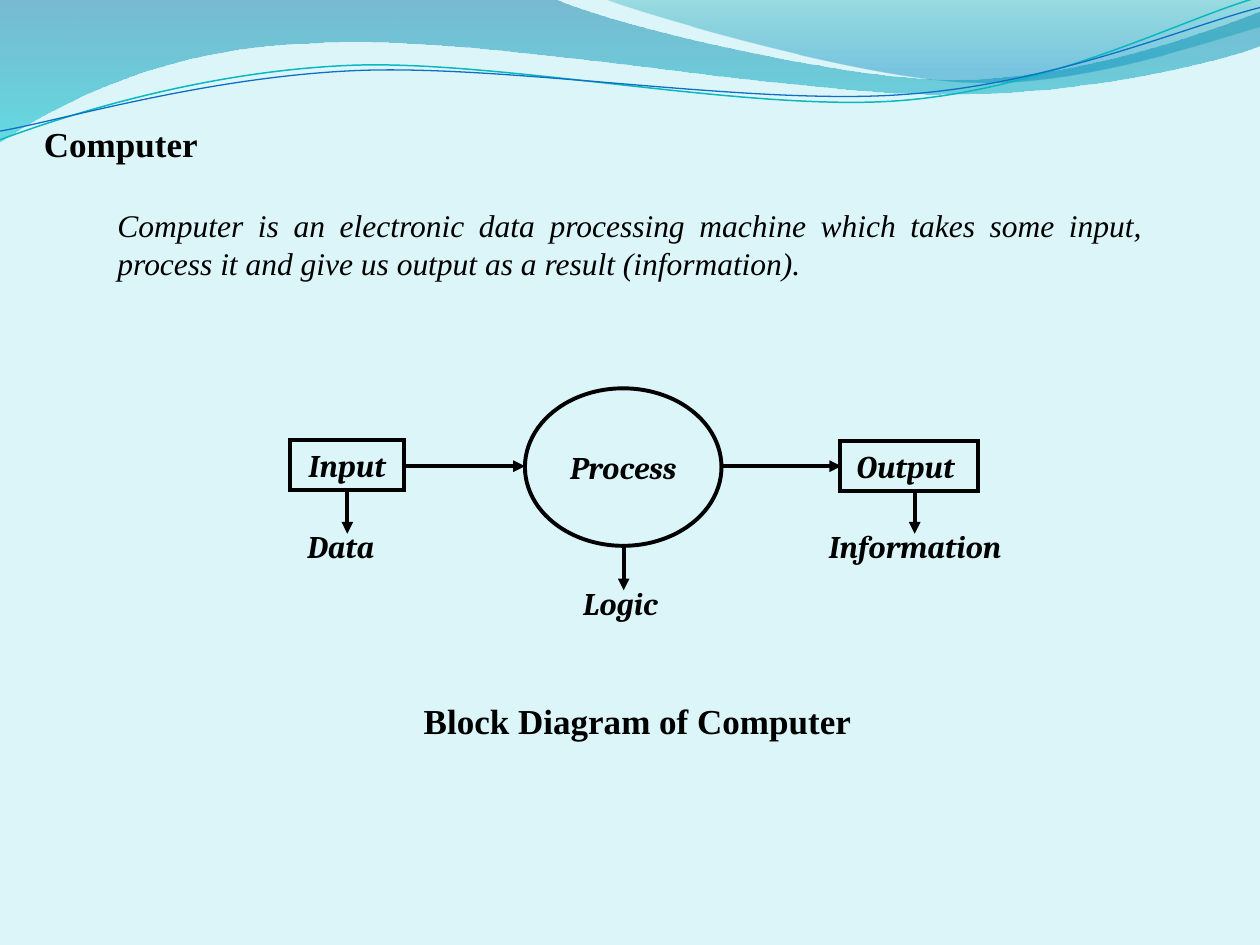
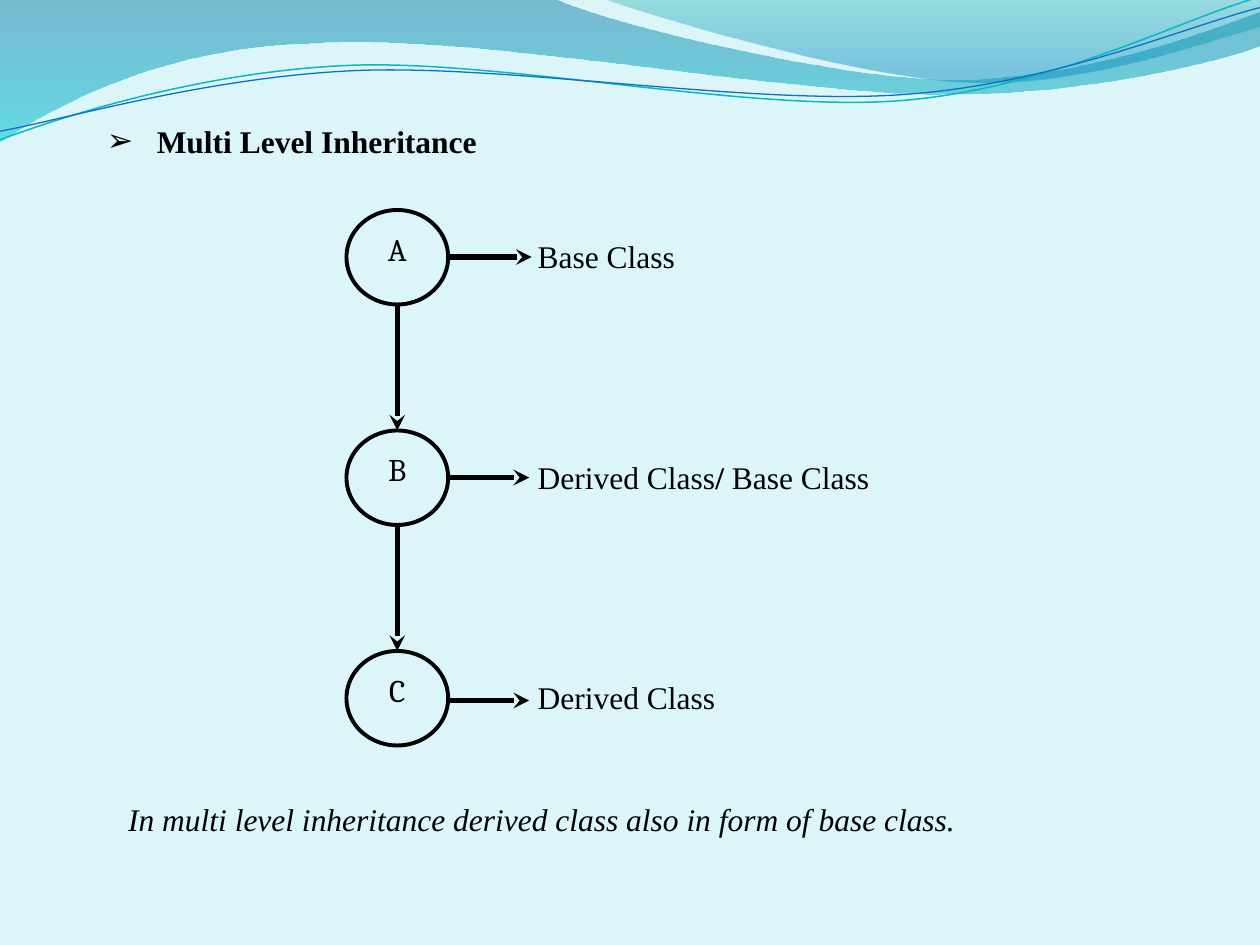
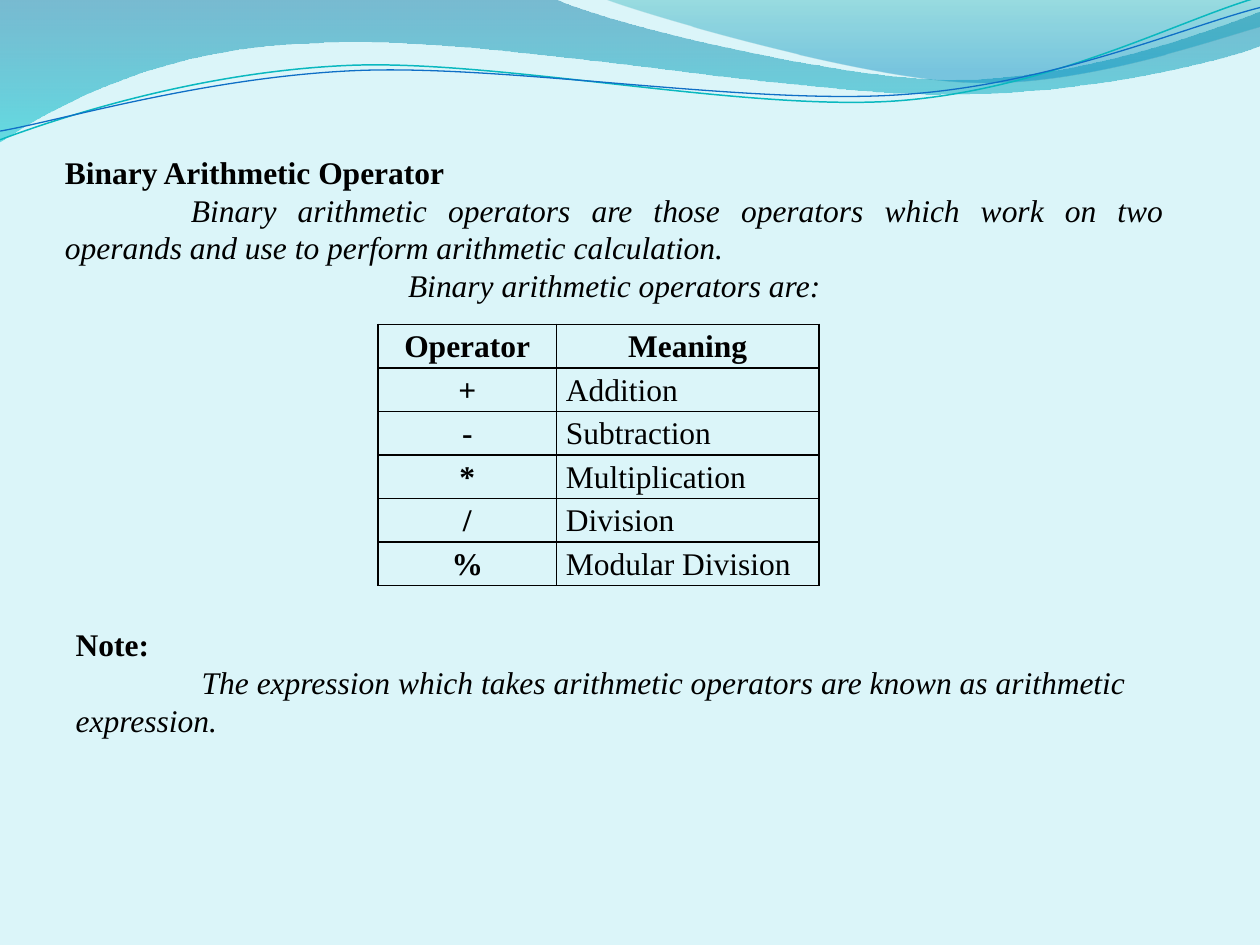
from lxml.etree import SubElement
from pptx import Presentation
from pptx.dml.color import RGBColor
from pptx.enum.shapes import MSO_CONNECTOR, MSO_SHAPE
from pptx.enum.text import MSO_ANCHOR, PP_ALIGN
from pptx.oxml import parse_xml
from pptx.oxml.ns import nsdecls, qn
from pptx.util import Pt

BLACK = RGBColor(0x00, 0x00, 0x00)
PALE_AQUA = RGBColor(0xDB, 0xF5, 0xF9)
DEEP_BLUE = RGBColor(0x00, 0x74, 0xA1)
TURQUOISE = RGBColor(0x00, 0xC6, 0xCF)
TEAL = RGBColor(0x00, 0xA1, 0xA9)
SKY_BLUE = RGBColor(0x00, 0x8B, 0xBF)
CYAN = RGBColor(0x0A, 0xB8, 0xBF)
ROYAL_BLUE = RGBColor(0x0F, 0x6F, 0xC6)

BODY = {"name": "Times New Roman", "size": Pt(18)}
HEADING = {"size": Pt(20), "bold": True}
DIAGRAM = {"name": "Cambria", "bold": True, "italic": True}
CENTER, JUSTIFY = PP_ALIGN.CENTER, PP_ALIGN.JUSTIFY


def write(paragraph, text, align=None, **look):
    """Add a run to the paragraph in the body style, changed by look."""
    paragraph.alignment = align
    run = paragraph.add_run()
    run.text = text
    run.font.color.rgb = BLACK
    for attribute, value in {**BODY, **look}.items():
        setattr(run.font, attribute, value)


def add_arrow(slide, x1, y1, x2, y2, weight, head):
    arrow = slide.shapes.add_connector(
        MSO_CONNECTOR.STRAIGHT, Pt(x1), Pt(y1), Pt(x2), Pt(y2))
    arrow.line.color.rgb = BLACK
    arrow.line.width = Pt(weight)
    properties = arrow.element.find(qn("p:spPr"))
    SubElement(properties.find(qn("a:ln")), qn("a:tailEnd"), type=head)
    SubElement(properties, qn("a:effectLst"))


prs = Presentation()
prs.slide_width, prs.slide_height = Pt(720), Pt(540)
background = prs.slide_master.background.fill
background.solid()
background.fore_color.rgb = PALE_AQUA

slides = [prs.slides.add_slide(prs.slide_layouts[6]) for _ in range(3)]
computer, inheritance, operators = slides

# Waves: start, then segments of 1 point (line) or 3 points (Bézier curve).
# Bands have gradient stops (position, colour, opacity %); strands have a line.
waves = [
    ((0, 0),
     [[(316.8, -0.7)],
      [(342.7, 12.2), (478.1, 45.4), (545.8, 45.4)],
      [(614.2, 45.4), (689.8, 18.7), (720, 6.5)],
      [(720.7, 25.9)],
      [(707.8, 31.7), (626.4, 54.7), (537.1, 54)],
      [(447.8, 54), (275, 20.2), (185, 24.5)],
      [(92.9, 25.9), (33.1, 59.8), (-0.7, 81.4)]],
     [(0, DEEP_BLUE, 45), (1, TURQUOISE, 55)], None),
    ((344.9, -0.7),
     [[(366.5, 7.9), (491, 44.6), (553.7, 46.8)],
      [(616.3, 49.7), (691.9, 23), (720, 15.1)],
      [(720, 0)]],
     [(0, TEAL, 30), (0.8, SKY_BLUE, 45)], None),
    ((0, 79.9),
     [[(34.6, 67), (113.8, 41), (199.4, 37.4)],
      [(284.4, 33.8), (427, 64.1), (513.4, 57.6)],
      [(599.8, 51.1), (675.4, 10.8), (718.6, -1.4)]],
     None, (CYAN, 0.85)),
    ((0, 74.9),
     [[(33.8, 69.1), (118.1, 43.9), (203.8, 40.3)],
      [(290.2, 36.7), (429.8, 60.5), (516.2, 54)],
      [(601.9, 48.2), (677.5, 15.1), (720, 4.3)]],
     None, (ROYAL_BLUE, 0.75)),
]

for number, (start, segments, stops, stroke) in enumerate(waves):
    builder = computer.shapes.build_freeform(Pt(start[0]), Pt(start[1]))
    builder.add_line_segments(
        [(Pt(x), Pt(y)) for segment in segments for x, y in segment],
        close=stops is not None)
    wave = builder.convert_to_shape()
    # Join each three control points into one curve
    vertices = iter(list(wave.element.iter(qn("a:lnTo"))))
    for segment in segments:
        first, *others = [next(vertices) for _ in segment]
        if others:
            first.tag = qn("a:cubicBezTo")
        for vertex in others:
            first.append(vertex[0])
            vertex.getparent().remove(vertex)
    wave.shadow.inherit = False
    if stops:
        wave.fill.gradient()
        wave.fill.gradient_angle = 270
        for stop, (position, color, _) in zip(wave.fill.gradient_stops, stops):
            stop.position = position
            stop.color.rgb = color
        for shade, (_, _, opacity) in zip(
                wave.element.iter(qn("a:srgbClr")), stops):
            SubElement(shade, qn("a:alpha"), val=str(opacity * 1000))
        wave.line.fill.background()
    else:
        wave.fill.background()
        wave.line.color.rgb, wave.line.width = stroke[0], Pt(stroke[1])
    # Move the wave to the master, so that every slide shows it
    next(wave.element.iter(qn("p:cNvPr"))).set("id", str(20 + number))
    prs.slide_master.shapes.element.append(wave.element)

# Slide 1: headings and definition
for text, left, top, width, align in [
        ("Computer", 18, 66.2, 103, None),
        ("Block Diagram of Computer", 234, 396, 260.6, CENTER)]:
    heading = computer.shapes.add_textbox(Pt(left), Pt(top), Pt(width), Pt(31.5))
    write(heading.text_frame.paragraphs[0], text, align, **HEADING)

definition = computer.shapes.add_textbox(Pt(60), Pt(114.1), Pt(600), Pt(51)).text_frame
definition.word_wrap = True
write(definition.paragraphs[0],
      "Computer is an electronic data processing machine which takes some input, "
      "process it and give us output as a result (information).",
      JUSTIFY, italic=True)

# Slide 1: each stage with what it stands for below it
for (stage, kind, left, top, width, height,
     meaning, meaning_left, meaning_top, meaning_width, stem) in [
        ("Input", MSO_SHAPE.RECTANGLE, 165.6, 251.3, 65.5, 28.8,
         "Data ", 157.5, 297.8, 78.5, 198.5),
        ("Process", MSO_SHAPE.OVAL, 300, 221.9, 112.3, 90,
         "Logic ", 317.3, 330.1, 78.5, 356.4),
        ("Output ", MSO_SHAPE.RECTANGLE, 480.2, 252, 78.5, 28.8,
         "Information ", 466.2, 297.8, 117.4, 522.7)]:
    block = computer.shapes.add_shape(kind, Pt(left), Pt(top), Pt(width), Pt(height))
    block.shadow.inherit = False
    block.fill.background()
    block.line.color.rgb = BLACK
    block.line.width = Pt(2.25)
    SubElement(next(block.element.iter(qn("a:ln"))), qn("a:miter"), lim="800000")
    block.text_frame.vertical_anchor = MSO_ANCHOR.MIDDLE
    write(block.text_frame.paragraphs[0], stage, CENTER, **DIAGRAM)
    label = computer.shapes.add_textbox(
        Pt(meaning_left), Pt(meaning_top), Pt(meaning_width), Pt(28.8)).text_frame
    label.word_wrap = True
    write(label.paragraphs[0], meaning, CENTER, **DIAGRAM)
    add_arrow(computer, stem, top + height, stem, meaning_top + 7.2, 2.25, "triangle")

for start, end in [(231.1, 300), (412.6, 480.7)]:
    add_arrow(computer, start, 266.4, end, 266.4, 2.25, "triangle")

# Slide 2: bulleted title
title = inheritance.shapes.add_textbox(Pt(54), Pt(66.2), Pt(240), Pt(29)).text_frame
title.word_wrap = True
bullet = title.paragraphs[0]._p.get_or_add_pPr()
bullet.set("marL", str(Pt(28.5)))
bullet.set("indent", str(Pt(-28.5)))
SubElement(bullet, qn("a:buFont"), typeface="Arial")
SubElement(bullet, qn("a:buChar"), char="➢")
write(title.paragraphs[0], "Multi Level Inheritance", bold=True)

# Slide 2: chain of classes
LEVEL_STEP = 126
for level, (letter, role, role_width, pointer_left, pointer_y) in enumerate([
        ("A", "Base Class", 112.3, 256.3, 146.9),
        ("B", "Derived Class/ Base Class", 229.7, 254.9, 272.9),
        ("C", "Derived Class", 137.5, 254.9, 400.3)]):
    top = 120 + level * LEVEL_STEP
    node = inheritance.shapes.add_shape(
        MSO_SHAPE.OVAL, Pt(198), Pt(top), Pt(58.1), Pt(54))
    node.shadow.inherit = False
    node.fill.background()
    node.line.color.rgb = BLACK
    node.line.width = Pt(2.25)
    node.text_frame.vertical_anchor = MSO_ANCHOR.TOP
    write(node.text_frame.paragraphs[0], letter, CENTER, name="Cambria")
    label = inheritance.shapes.add_textbox(
        Pt(300.2), Pt(top + 12), Pt(role_width), Pt(31.7)).text_frame
    label.word_wrap = True
    for part in filter(None, role.partition("/")):
        write(label.paragraphs[0], part, bold=part == "/")
    add_arrow(inheritance, pointer_left, pointer_y, pointer_left + 47.5, pointer_y,
              3, "stealth")
    if level < 2:
        add_arrow(inheritance, 227, top + 53.5, 227, top + LEVEL_STEP, 3, "stealth")

remark = inheritance.shapes.add_textbox(Pt(66.2), Pt(453.8), Pt(492.5), Pt(29))
write(remark.text_frame.paragraphs[0],
      "In multi level inheritance derived class also in form of base class.", italic=True)

# Slide 3: passages, each line with its alignment, first-line indent and look
for left, top, width, height, lines in [
        (30, 83.8, 642.2, 94.3, [
            ("Binary Arithmetic Operator", JUSTIFY, 0, {"bold": True}),
            ("Binary arithmetic operators are those operators which work on two "
             "operands and use to perform arithmetic calculation.",
             JUSTIFY, 72, {"italic": True}),
            ("Binary arithmetic operators are:", CENTER, 0, {"italic": True})]),
        (36.2, 353.8, 624.2, 72.7, [
            ("Note:", None, 0, {"bold": True}),
            ("The expression which takes arithmetic operators are known as "
             "arithmetic expression.", None, 72, {"italic": True})])]:
    passage = operators.shapes.add_textbox(
        Pt(left), Pt(top), Pt(width), Pt(height)).text_frame
    passage.word_wrap = True
    for number, (text, align, indent, look) in enumerate(lines):
        paragraph = passage.add_paragraph() if number else passage.paragraphs[0]
        if indent:
            paragraph._p.get_or_add_pPr().set("indent", str(Pt(indent)))
        write(paragraph, text, align, **look)

# Slide 3: operator table
meanings = [("Operator", "Meaning"), ("+", "Addition"), ("-", "Subtraction"),
            ("*", "Multiplication"), ("/", "Division"), ("%", "Modular Division")]
grid = operators.shapes.add_table(
    len(meanings), 2, Pt(216), Pt(185.3), Pt(252), Pt(149.1))
table = grid.table
table.first_row = table.horz_banding = False
for column, width in zip(table.columns, (102, 150)):
    column.width = Pt(width)
for r, row in enumerate(meanings):
    table.rows[r].height = Pt(24.85)
    for c, text in enumerate(row):
        cell = table.cell(r, c)
        cell.margin_left = cell.margin_right = Pt(5.4)
        cell.margin_top = cell.margin_bottom = 0
        cell.fill.background()
        strong = r == 0 or c == 0
        paragraph = cell.text_frame.paragraphs[0]
        paragraph.line_spacing = 1.15
        write(paragraph, text, CENTER if strong else JUSTIFY, bold=strong)

for cell_properties in grid.element.iter(qn("a:tcPr")):
    for order, side in enumerate("LRTB"):
        cell_properties.insert(order, parse_xml(
            f'<a:ln{side} {nsdecls("a")} w="{Pt(1)}"><a:solidFill>'
            f'<a:srgbClr val="{BLACK}"/></a:solidFill></a:ln{side}>'))

prs.save("out.pptx")
